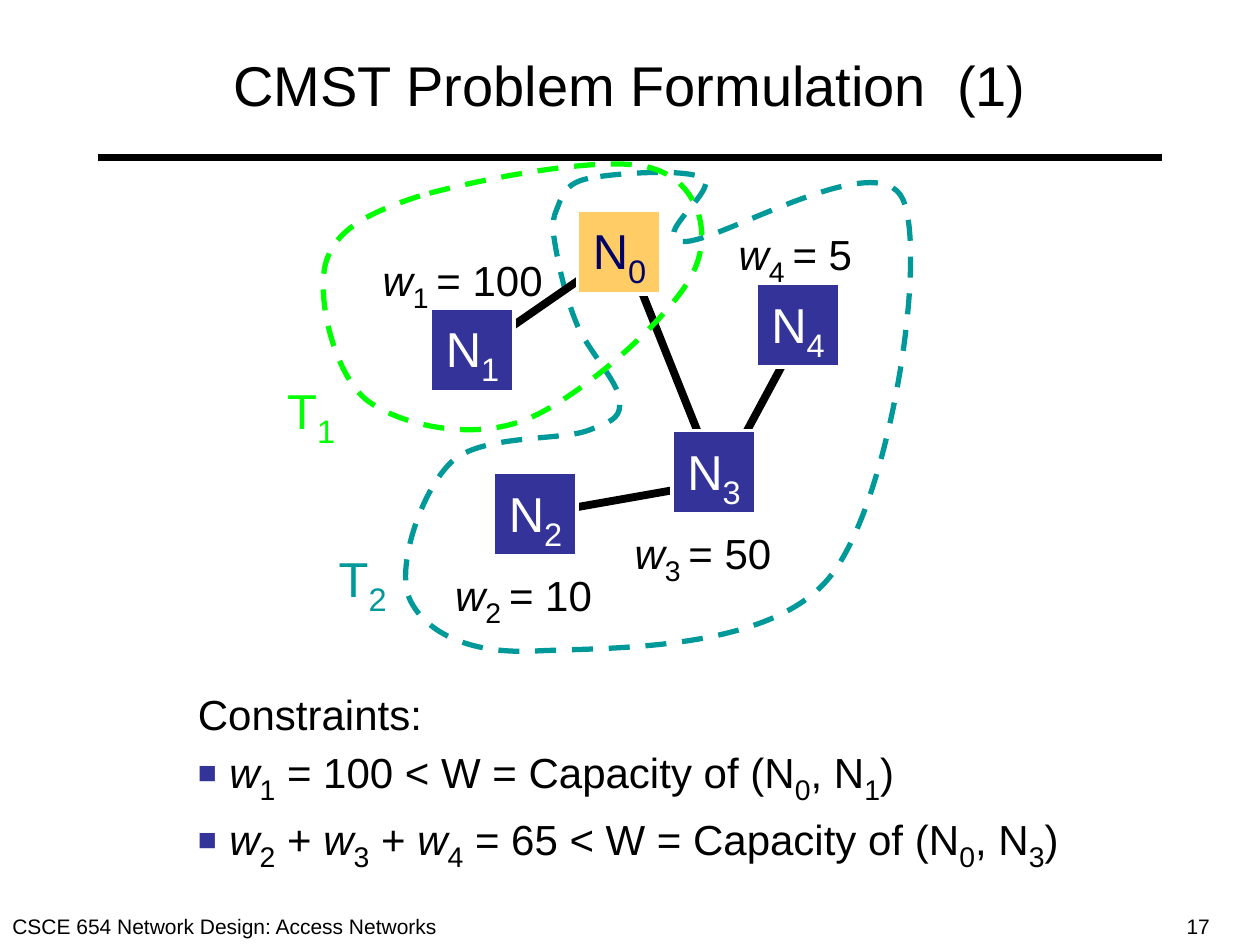
from lxml.etree import SubElement
from pptx import Presentation
from pptx.dml.color import RGBColor
from pptx.enum.dml import MSO_LINE
from pptx.enum.shapes import MSO_CONNECTOR, MSO_SHAPE
from pptx.enum.text import MSO_ANCHOR, MSO_AUTO_SIZE, PP_ALIGN
from pptx.oxml.ns import qn
from pptx.util import Pt

HUES = {"ink": "000000", "paper": "FFFFFF", "teal": "009999", "green": "00FF00",
        "gold": "FFCC66", "navy": "000066", "blue": "333399"}
SIDE = 48
NODES = [("0", 180, 36, "gold", "navy"), ("1", 96, 92, "blue", "paper"),
         ("2", 132, 186, "blue", "paper"), ("4", 282, 78, "blue", "paper"),
         ("3", 234, 162, "blue", "paper")]
LOADS = [("1", "100", 61.5, 54, 106), ("2", "10", 103, 234, 93),
         ("3", "50", 205.5, 210, 93), ("4", "5", 265, 39, 80)]
TREES = [
    {"name": "2", "hue": "teal", "label": (36.5, 222),
     "edges": [(258, 192, 156, 210), (306, 108, 264, 186), (210, 66, 258, 186)],
     "curve": [(186, 18), (172, 21), (171, 29), (168, 36), (165, 43), (166, 49), (168, 60),
               (170, 71), (174, 88), (180, 102), (186, 116), (203, 134), (204, 144),
               (205, 154), (202, 156), (186, 162), (170, 168), (125, 164), (108, 180),
               (91, 196), (76, 240), (84, 258), (92, 276), (116, 290), (156, 288),
               (196, 286), (289, 289), (324, 246), (359, 203), (380, 62), (366, 30),
               (352, -2), (259, 56), (240, 54), (221, 52), (261, 24), (252, 18),
               (243, 12), (200, 15), (186, 18)]},
    {"name": "1", "hue": "green", "label": (7, 126),
     "edges": [(204, 60, 126, 114)],
     "curve": [(90, 28), (59, 38), (41, 48), (36, 67), (31, 87), (41, 130), (60, 145),
               (79, 159), (119, 168), (150, 156), (181, 144), (234, 97), (246, 72),
               (258, 48), (248, 19), (222, 12), (196, 4), (121, 19), (90, 28)]},
]
RULES = ["Constraints:",
         "*w|_1| = 100 < W = Capacity of (N|_0|, N|_1|)",
         "*w|_2| + |*w|_3| + |*w|_4| = 65 < W = Capacity of (N|_0|, N|_3|)"]


def tint(hue):
    """Return the colour that a name stands for."""
    return RGBColor.from_string(HUES[hue])


def write(para, text, size=24, hue="ink", align=PP_ALIGN.LEFT):
    """Fill a paragraph from parts split by |, where * is italic and _ is subscript."""
    para.alignment = align
    for part in text.split("|"):
        low = part.startswith("_")
        run = para.add_run()
        run.text = part.lstrip("*_")
        font = run.font
        font.name, font.size = "Arial", Pt(size + 4 if low else size)
        font.italic = part.startswith("*")
        font.color.rgb = tint(hue)
        if low:
            run._r.get_or_add_rPr().set("baseline", "-25000")


def label(slide, text, x, y, w, h, wrap=False, **form):
    """Add a text box with one paragraph and return its frame."""
    frame = slide.shapes.add_textbox(Pt(x), Pt(y), Pt(w), Pt(h)).text_frame
    frame.word_wrap = wrap
    frame.auto_size = MSO_AUTO_SIZE.NONE if wrap else MSO_AUTO_SIZE.SHAPE_TO_FIT_TEXT
    write(frame.paragraphs[0], text, **form)
    return frame


def rule(slide, x1, y1, x2, y2):
    """Draw a thick black line."""
    line = slide.shapes.add_connector(MSO_CONNECTOR.STRAIGHT, Pt(x1), Pt(y1), Pt(x2), Pt(y2))
    line.line.color.rgb, line.line.width = tint("ink"), Pt(4.5)
    SubElement(line._element.spPr, qn("a:effectLst"))


def loop(slide, spots, hue):
    """Draw a dashed closed curve through Bezier control points."""
    spots = [(Pt(x), Pt(y)) for x, y in spots]
    pen = slide.shapes.build_freeform(*spots[0], scale=1.0)
    pen.add_line_segments(spots[1:], close=True)
    shape = pen.convert_to_shape()
    shape.shadow.inherit = False
    shape.fill.background()
    shape.line.color.rgb, shape.line.width = tint(hue), Pt(3)
    shape.line.dash_style = MSO_LINE.DASH
    steps = list(shape._element.iter(qn("a:lnTo")))
    for first, *rest in zip(steps[::3], steps[1::3], steps[2::3]):
        first.tag = qn("a:cubicBezTo")
        for step in rest:
            first.append(step[0])
            step.getparent().remove(step)


def tree(slide, x, y, name, hue, label_at, edges, curve):
    """Draw one subtree with its links, outline and name."""
    for x1, y1, x2, y2 in edges:
        rule(slide, x + x1, y + y1, x + x2, y + y2)
    loop(slide, [(x + dx, y + dy) for dx, dy in curve], hue)
    dx, dy = label_at
    label(slide, f"T|_{name}", x + dx, y + dy, 42, 51, size=28, hue=hue)


def node(slide, x, y, name, fill, hue):
    """Draw one square network node."""
    box = slide.shapes.add_shape(MSO_SHAPE.RECTANGLE, Pt(x), Pt(y), Pt(SIDE), Pt(SIDE))
    box.shadow.inherit = False
    box.fill.solid()
    box.fill.fore_color.rgb = tint(fill)
    box.line.color.rgb, box.line.width = tint("paper"), Pt(2.25)
    frame = box.text_frame
    frame.word_wrap, frame.vertical_anchor = False, MSO_ANCHOR.MIDDLE
    write(frame.paragraphs[0], f"N|_{name}", size=28, hue=hue, align=PP_ALIGN.CENTER)


def graph(slide, x, y):
    """Draw the subtrees, weights and nodes."""
    for part in TREES:
        tree(slide, x, y, part["name"], part["hue"], part["label"], part["edges"], part["curve"])
    for name, load, dx, dy, w in LOADS:
        label(slide, f"*w|_{name} |= {load}", x + dx, y + dy, w, 45)
    for name, dx, dy, fill, hue in NODES:
        node(slide, x + dx, y + dy, name, fill, hue)


def limits(slide, x, y, w, h):
    """List the constraints with square bullets."""
    frame = label(slide, RULES[0], x, y, w, h)
    for text in RULES[1:]:
        para = frame.add_paragraph()
        props = para._p.get_or_add_pPr()
        props.set("marL", str(Pt(18)))
        props.set("indent", str(-Pt(18)))
        SubElement(SubElement(props, qn("a:buClr")), qn("a:srgbClr"), val=HUES["blue"])
        SubElement(props, qn("a:buSzPct"), val="75000")
        SubElement(props, qn("a:buFont"), typeface="Arial")
        SubElement(props, qn("a:buChar"), char="■")
        write(para, text)


def head(slide, x, y, w, h):
    """Place the title and the line below it."""
    frame = label(slide, "CMST Problem Formulation  (1)", x, y, w, h, wrap=True,
                  size=32, align=PP_ALIGN.CENTER)
    frame.vertical_anchor = MSO_ANCHOR.MIDDLE
    rule(slide, x + 20, y + h + 6, x + w - 20, y + h + 6)


def foot(slide, x, y, w, h):
    """Place the course name and the page number."""
    label(slide, "CSCE 654 Network Design: Access Networks", x, y, 258, h, size=12)
    label(slide, "17", x + w - 49, y, 69, h, wrap=True, size=12)


def main():
    """Build and save the slide."""
    deck = Presentation()
    deck.slide_width, deck.slide_height = Pt(720), Pt(540)
    slide = deck.slides.add_slide(deck.slide_layouts[6])
    head(slide, 36, 12, 648, 72)
    graph(slide, 150, 84)
    limits(slide, 106, 390, 506, 112)
    foot(slide, 0, 518.4, 720, 21.6)
    deck.save("out.pptx")


if __name__ == "__main__":
    main()
